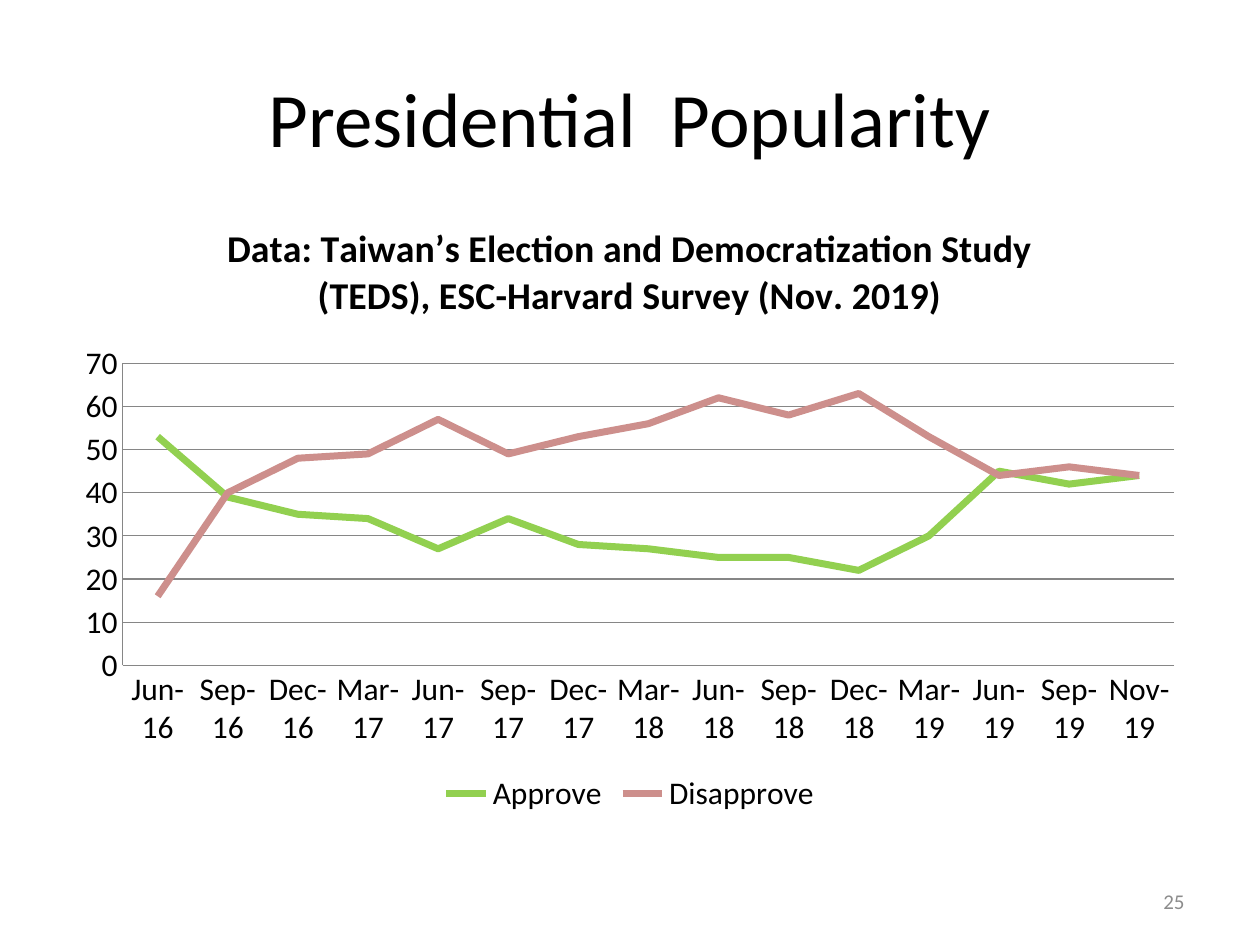
from pptx import Presentation
from pptx.chart.data import CategoryChartData as Data
from pptx.dml.color import RGBColor
from pptx.enum.chart import XL_CHART_TYPE as Kind, XL_LEGEND_POSITION as Place
from pptx.enum.chart import XL_TICK_MARK as Tick
from pptx.enum.text import MSO_ANCHOR as Anchor, PP_ALIGN as Align
from pptx.util import Inches, Pt

MONTHS = ["Jun-16", "Sep-16", "Dec-16", "Mar-17", "Jun-17", "Sep-17", "Dec-17",
          "Mar-18", "Jun-18", "Sep-18", "Dec-18", "Mar-19", "Jun-19", "Sep-19",
          "Nov-19"]
POLLS = [
    ("Approve", "92D050",
     [53, 39, 35, 34, 27, 34, 28, 27, 25, 25, 22, 30, 45, 42, 44]),
    ("Disapprove", "CD8F8C",
     [16, 40, 48, 49, 57, 49, 53, 56, 62, 58, 63, 53, 44, 46, 44]),
]


def color(code):
    return RGBColor.from_string(code)


def write(frame, text, size=18, ink="000000", bold=False, align=Align.CENTER):
    para = frame.paragraphs[0]
    para.alignment = align
    run = para.add_run()
    run.text = text
    style(run.font, size, ink, bold)


def style(font, size, ink, bold=False):
    font.name = "Calibri"
    font.size = Pt(size)
    font.bold = bold
    font.color.rgb = color(ink)


class Deck:
    ink = "000000"
    gray = "868686"

    def __init__(self):
        self.show = Presentation()
        self.show.slide_width = Inches(10)
        self.show.slide_height = Inches(7.5)
        self.slide = self.show.slides.add_slide(self.show.slide_layouts[6])

    def text(self, box, text, **form):
        frame = self.slide.shapes.add_textbox(*map(Inches, box)).text_frame
        frame.word_wrap = True
        frame.vertical_anchor = Anchor.MIDDLE
        write(frame, text, **form)

    def chart(self, box, title, months, polls):
        data = Data()
        data.categories = months
        for name, _, vals in polls:
            data.add_series(name, vals)
        chart = self.slide.shapes.add_chart(
            Kind.LINE, *map(Inches, box), data).chart
        style(chart.font, 18, self.ink)
        chart.has_title = True
        write(chart.chart_title.text_frame, title, size=21.6, bold=True)
        chart.chart_title.include_in_layout = False
        chart.has_legend = True
        chart.legend.position = Place.BOTTOM
        chart.legend.include_in_layout = False
        plot = chart.plots[0]
        plot.vary_by_categories = False
        for line, (_, tint, _) in zip(plot.series, polls):
            line.smooth = False
            line.format.line.width = Pt(4)
            line.format.line.color.rgb = color(tint)
        self.axes(chart)

    def axes(self, chart):
        val = chart.value_axis
        val.minimum_scale, val.maximum_scale, val.major_unit = 0, 70, 10
        val.has_major_gridlines = True
        for axis in (chart.category_axis, val):
            axis.major_tick_mark = axis.minor_tick_mark = Tick.NONE
        for part in (chart.category_axis, val, val.major_gridlines):
            part.format.line.width = Pt(0.75)
            part.format.line.color.rgb = color(self.gray)


def main():
    deck = Deck()
    deck.text((0.5, 0.3, 9, 1.25), "Presidential  Popularity", size=44)
    deck.chart((0.5, 1.55, 9, 4.95),
               "Data: Taiwan’s Election and Democratization Study "
               "(TEDS), ESC-Harvard Survey (Nov. 2019)", MONTHS, POLLS)
    deck.text((7.17, 6.95, 2.33, 0.4), "25", size=12, ink="8C8C8C",
              align=Align.RIGHT)
    deck.show.save("out.pptx")


if __name__ == "__main__":
    main()
